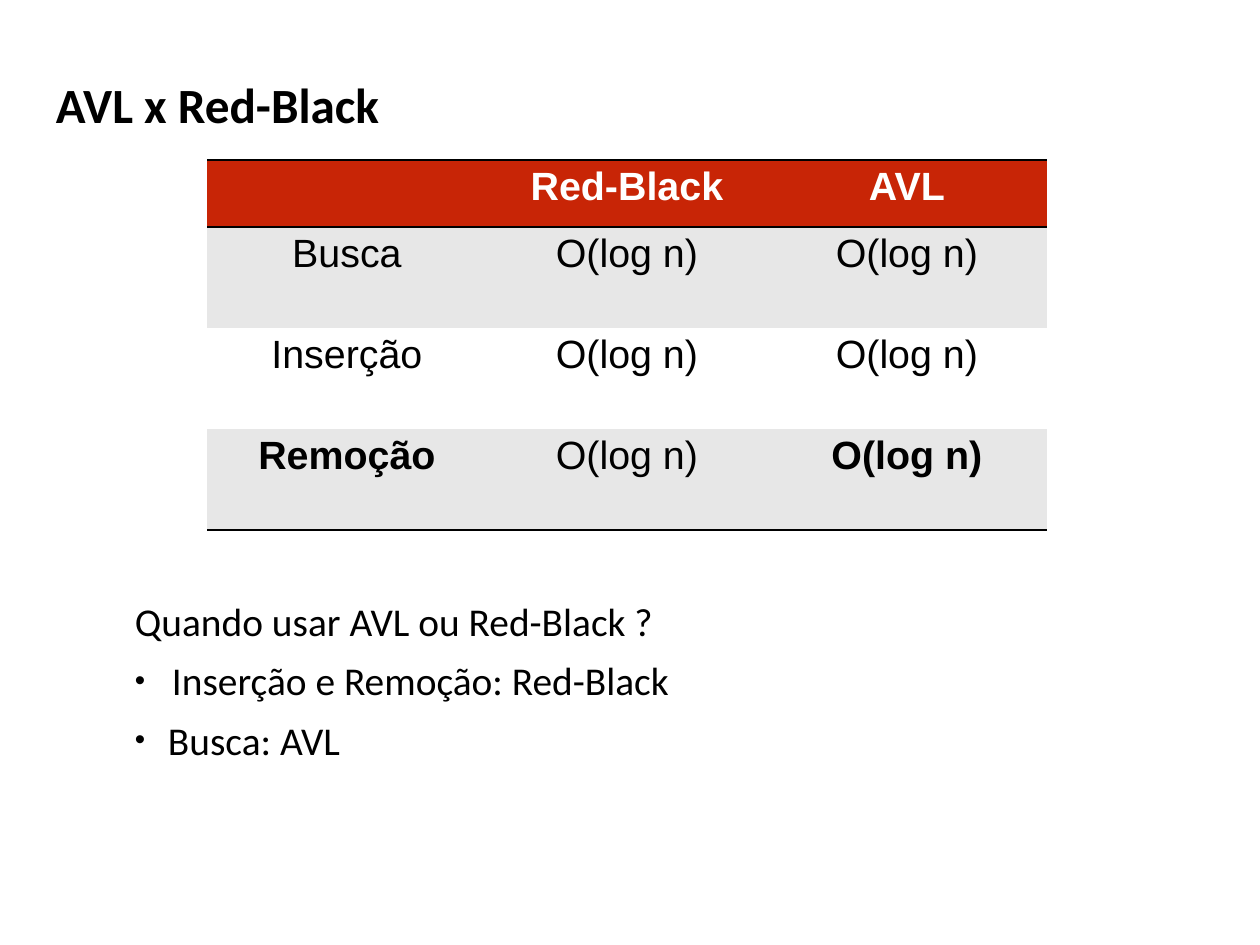
from lxml import etree
from pptx import Presentation
from pptx import util as u
from pptx.dml.color import RGBColor
from pptx.enum import text
from pptx.oxml import ns

EMU_PER_PX = 10321
COLORS = {"ink": "000000", "header": "C82506", "band": "E7E7E7", "paper": "FFFFFF"}

COMPLEXITIES = [
    ["", "Red-Black", "AVL"],
    ["Busca", "O(log n)", "O(log n)"],
    ["Inserção", "O(log n)", "O(log n)"],
    ["Remoção", "O(log n)", "O(log n)"],
]
BOLD_CELLS = {(0, 1), (0, 2), (3, 0), (3, 2)}
RULED_EDGES = {0, 1, len(COMPLEXITIES)}  # horizontal edges drawn in black

# Text and its hanging indent in px; no hanging indent means no bullet
ADVICE = [
    ("Quando usar AVL ou Red-Black ?", 0),
    ("Inserção e Remoção: Red-Black", 37),
    ("Busca: AVL", 33),
]


def px(length):
    return u.Emu(length * EMU_PER_PX)


def rgb(name):
    return RGBColor.from_string(COLORS[name])


def write(paragraph, words, *, size=32, font="Calibri", color="ink", bold=False,
          align=text.PP_ALIGN.LEFT, before=0):
    paragraph.alignment = align
    paragraph.space_before = u.Pt(before)
    if not words:
        return
    run = paragraph.add_run()
    run.text = words
    run.font.size = u.Pt(size)
    run.font.name = font
    run.font.bold = bold
    run.font.color.rgb = rgb(color)


def place(placeholder, left, top, width, height, inset_top=5):
    placeholder.left, placeholder.top = px(left), px(top)
    placeholder.width, placeholder.height = px(width), px(height)
    frame = placeholder.text_frame
    frame.word_wrap = True
    frame.auto_size = text.MSO_AUTO_SIZE.NONE
    frame.margin_left = frame.margin_right = frame.margin_bottom = px(5)
    frame.margin_top = px(inset_top)
    return frame


def set_bullet(paragraph, margin, hang):
    props = paragraph._p.get_or_add_pPr()
    props.set("marL", str(px(margin + hang)))
    props.set("indent", str(px(-hang)))
    if hang:
        etree.SubElement(props, ns.qn("a:buSzPct")).set("val", "75000")
        etree.SubElement(props, ns.qn("a:buChar")).set("char", "•")
    else:
        etree.SubElement(props, ns.qn("a:buNone"))


def set_borders(cell, row):
    props = cell._tc.get_or_add_tcPr()
    ruled = {"L": False, "R": False, "T": row in RULED_EDGES, "B": row + 1 in RULED_EDGES}
    for side, visible in ruled.items():
        line = etree.SubElement(props, ns.qn(f"a:ln{side}"), w=str(u.Pt(2)))
        if visible:
            fill = etree.SubElement(line, ns.qn("a:solidFill"))
            etree.SubElement(fill, ns.qn("a:srgbClr")).set("val", COLORS["ink"])
        else:
            etree.SubElement(line, ns.qn("a:noFill"))


def add_title(slide):
    frame = place(slide.shapes.title, 51, 51, 1152, 105)
    frame.vertical_anchor = text.MSO_ANCHOR.MIDDLE
    write(frame.paragraphs[0], "AVL x Red-Black", size=40, bold=True)


def add_advice(slide):
    # The top inset leaves room for the table
    frame = place(slide.placeholders[1], -3, 160, 1206, 734, inset_top=437)
    frame.vertical_anchor = text.MSO_ANCHOR.TOP
    for i, (words, hang) in enumerate(ADVICE):
        paragraph = frame.add_paragraph() if i else frame.paragraphs[0]
        write(paragraph, words, before=10 if i else 0)
        set_bullet(paragraph, 133, hang)


def add_complexity_table(slide):
    header_height, row_height, column_width = 67, 101, 280
    rows, columns = len(COMPLEXITIES), len(COMPLEXITIES[0])
    table = slide.shapes.add_table(
        rows, columns, px(207), px(160), px(columns * column_width),
        px(header_height + (rows - 1) * row_height)).table
    table.first_row = table.horz_banding = False
    for column in table.columns:
        column.width = px(column_width)
    for r, labels in enumerate(COMPLEXITIES):
        table.rows[r].height = px(row_height if r else header_height)
        background = "header" if r == 0 else "band" if r % 2 else "paper"
        for c, label in enumerate(labels):
            cell = table.cell(r, c)
            set_borders(cell, r)
            cell.fill.solid()
            cell.fill.fore_color.rgb = rgb(background)
            write(cell.text_frame.paragraphs[0], label, font="Arial",
                  color="ink" if r else "paper", bold=(r, c) in BOLD_CELLS,
                  align=text.PP_ALIGN.CENTER)


def main():
    deck = Presentation()
    deck.slide_width, deck.slide_height = px(1260), px(945)
    slide = deck.slides.add_slide(deck.slide_layouts[1])
    add_title(slide)
    add_advice(slide)
    add_complexity_table(slide)
    deck.save("out.pptx")


if __name__ == "__main__":
    main()
